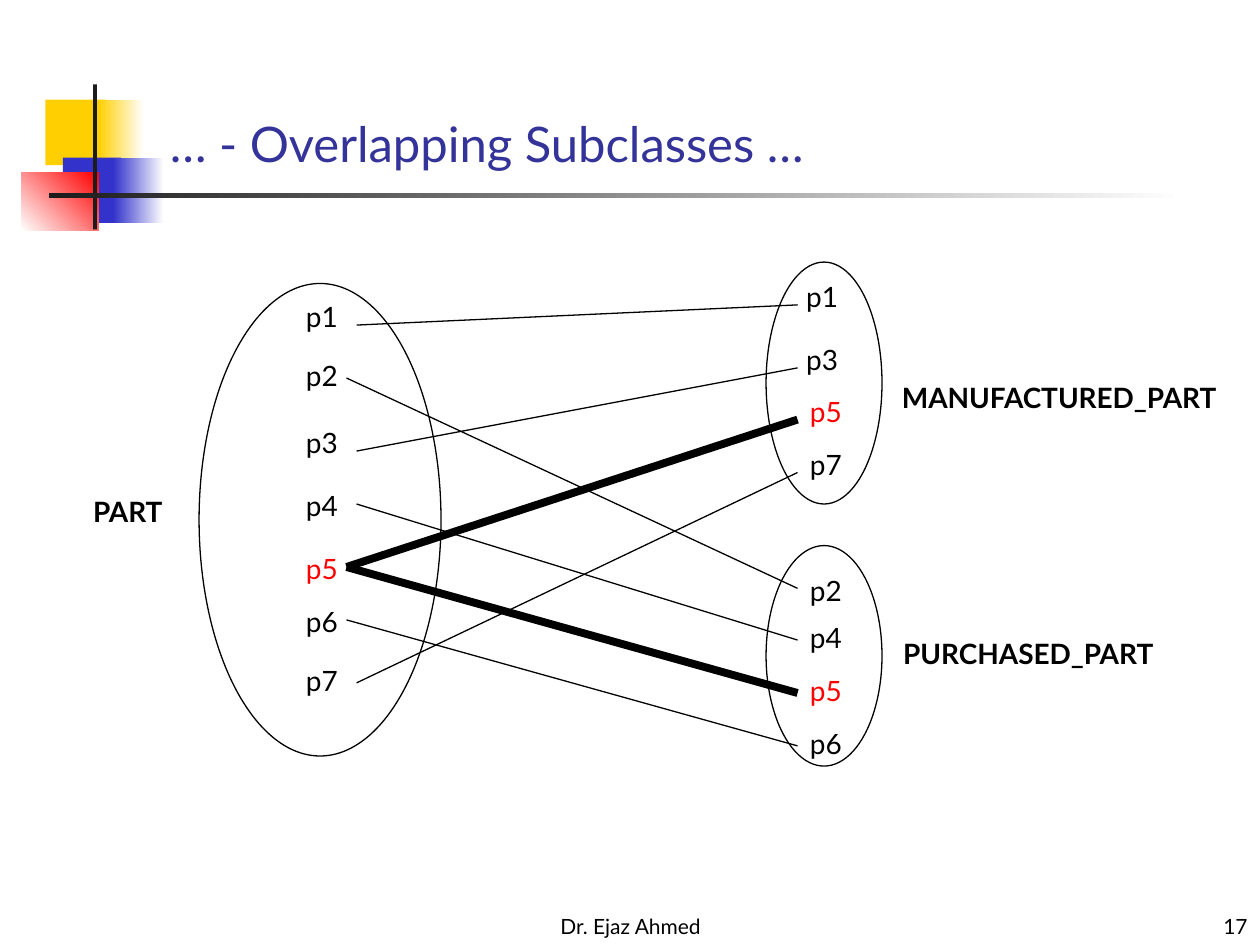
from dataclasses import dataclass

from lxml import etree
from pptx import Presentation
from pptx.dml.color import RGBColor
from pptx.enum.shapes import MSO_CONNECTOR, MSO_SHAPE
from pptx.enum.text import MSO_ANCHOR, MSO_AUTO_SIZE, PP_ALIGN
from pptx.oxml.ns import qn
from pptx.util import Inches, Pt

RECT, OVAL = MSO_SHAPE.RECTANGLE, MSO_SHAPE.OVAL
STRAIGHT = MSO_CONNECTOR.STRAIGHT
TOP, BOTTOM = MSO_ANCHOR.TOP, MSO_ANCHOR.BOTTOM
LEFT, CENTER, RIGHT = PP_ALIGN.LEFT, PP_ALIGN.CENTER, PP_ALIGN.RIGHT
GROW = MSO_AUTO_SIZE.SHAPE_TO_FIT_TEXT


@dataclass(frozen=True)
class Theme:
    font: str = "Lato"
    ink: str = "000000"
    title: str = "333399"
    shared: str = "FF0000"
    yellow: str = "FFCF01"
    blue: str = "3333CC"
    red: str = "FF0000"
    dark: str = "1C1C1C"
    white: str = "FFFFFF"
    title_size: int = 28
    label_size: int = 16
    foot_size: int = 12
    thin: float = 0.75
    thick: float = 4.5


THEME = Theme()
SHARED = "p5"

# Fill colours (one is solid, two make a gradient), angle, box
DECOR = [
    ([THEME.yellow], 0, (0.36, 0.79, 0.48, 0.52)),
    ([THEME.yellow, THEME.white], 0, (0.78, 0.79, 0.36, 0.52)),
    ([THEME.blue], 0, (0.5, 1.25, 0.46, 0.52)),
    ([THEME.blue, THEME.white], 0, (0.9, 1.25, 0.4, 0.52)),
    ([THEME.white, THEME.red], 45, (0.17, 1.37, 0.61, 0.46)),
    ([THEME.dark], 0, (0.74, 0.67, 0.03, 1.15)),
    ([THEME.dark, THEME.white], 0, (0.39, 1.53, 9, 0.04)),
]

# Set name, name box, ellipse box, members as (part, left, top)
SETS = [
    ("PART", (0.64, 3.88, 0.76, 0.37), (1.58, 2.25, 1.92, 3.75),
     [("p1", 2.33, 2.33), ("p2", 2.33, 2.8), ("p3", 2.33, 3.33),
      ("p4", 2.33, 3.83), ("p5", 2.33, 4.33), ("p6", 2.33, 4.75),
      ("p7", 2.33, 5.22)]),
    ("MANUFACTURED_PART", (7.06, 2.97, 2.73, 0.37), (6.08, 2.08, 0.92, 1.92),
     [("p1", 6.3, 2.17), ("p3", 6.3, 2.67), ("p5", 6.33, 3.08),
      ("p7", 6.33, 3.5)]),
    ("PURCHASED_PART", (7.07, 5, 2.22, 0.37), (6.08, 4.33, 0.92, 1.75),
     [("p2", 6.33, 4.5), ("p4", 6.33, 4.88), ("p5", 6.33, 5.3),
      ("p6", 6.33, 5.72)]),
]

# Part, start x, start y, end y; all links end at the same x
LINK_END = 6.33
LINKS = [
    ("p1", 2.83, 2.58, 2.42), ("p2", 2.75, 3, 4.67),
    ("p3", 2.83, 3.58, 2.92), ("p4", 2.83, 4, 5.08),
    ("p5", 2.75, 4.5, 3.33), ("p5", 2.75, 4.5, 5.5),
    ("p6", 2.75, 4.92, 5.92), ("p7", 2.83, 5.42, 3.75),
]


def color(code):
    return RGBColor.from_string(code)


def inches(box):
    return [Inches(size) for size in box]


def add_block(slide, fills, angle, box):
    block = slide.shapes.add_shape(RECT, *inches(box))
    block.shadow.inherit = False
    block.line.fill.background()
    if len(fills) == 1:
        block.fill.solid()
        block.fill.fore_color.rgb = color(fills[0])
        return
    block.fill.gradient()
    block.fill.gradient_angle = angle
    for stop, code in zip(block.fill.gradient_stops, fills):
        stop.color.rgb = color(code)


def add_text(slide, text, box, size, code=THEME.ink, bold=False,
             align=LEFT, anchor=TOP, wrap=True):
    frame = slide.shapes.add_textbox(*inches(box)).text_frame
    frame.word_wrap = wrap
    if not wrap:
        frame.auto_size = GROW
    frame.vertical_anchor = anchor
    frame.text = text
    line = frame.paragraphs[0]
    line.alignment = align
    font = line.runs[0].font
    font.name, font.size, font.bold = THEME.font, Pt(size), bold
    font.color.rgb = color(code)


def add_oval(slide, box):
    oval = slide.shapes.add_shape(OVAL, *inches(box))
    oval.shadow.inherit = False
    oval.fill.background()
    oval.line.color.rgb = color(THEME.ink)
    oval.line.width = Pt(THEME.thin)


def add_link(slide, part, left, start, end):
    ends = inches((left, start, LINK_END, end))
    link = slide.shapes.add_connector(STRAIGHT, *ends)
    link.line.color.rgb = color(THEME.ink)
    link.line.width = Pt(THEME.thick if part == SHARED else THEME.thin)
    etree.SubElement(link._element.spPr, qn("a:effectLst"))


def add_set(slide, name, name_box, oval_box, parts):
    add_oval(slide, oval_box)
    add_text(slide, name, name_box, THEME.label_size, bold=True, wrap=False)
    for part, left, top in parts:
        code = THEME.shared if part == SHARED else THEME.ink
        add_text(slide, part, (left, top, 0.46, 0.37), THEME.label_size,
                 code, wrap=False)


def main():
    deck = Presentation()
    deck.slide_width, deck.slide_height = Inches(10), Inches(7.5)
    slide = deck.slides.add_slide(deck.slide_layouts[6])

    # Corner blocks and rules
    for fills, angle, box in DECOR:
        add_block(slide, fills, angle, box)

    # Title and footer
    add_text(slide, "… - Overlapping Subclasses …", (1.25, 0.75, 8.52, 0.67),
             THEME.title_size, THEME.title, anchor=BOTTOM)
    add_text(slide, "Dr. Ejaz Ahmed", (3.42, 7.08, 3.17, 0.42),
             THEME.foot_size, align=CENTER, anchor=BOTTOM)
    add_text(slide, "17", (7.92, 7.08, 2.08, 0.42),
             THEME.foot_size, align=RIGHT, anchor=BOTTOM)

    # Sets and the links between their members
    for group in SETS:
        add_set(slide, *group)
    for link in LINKS:
        add_link(slide, *link)

    deck.save("out.pptx")


if __name__ == "__main__":
    main()
